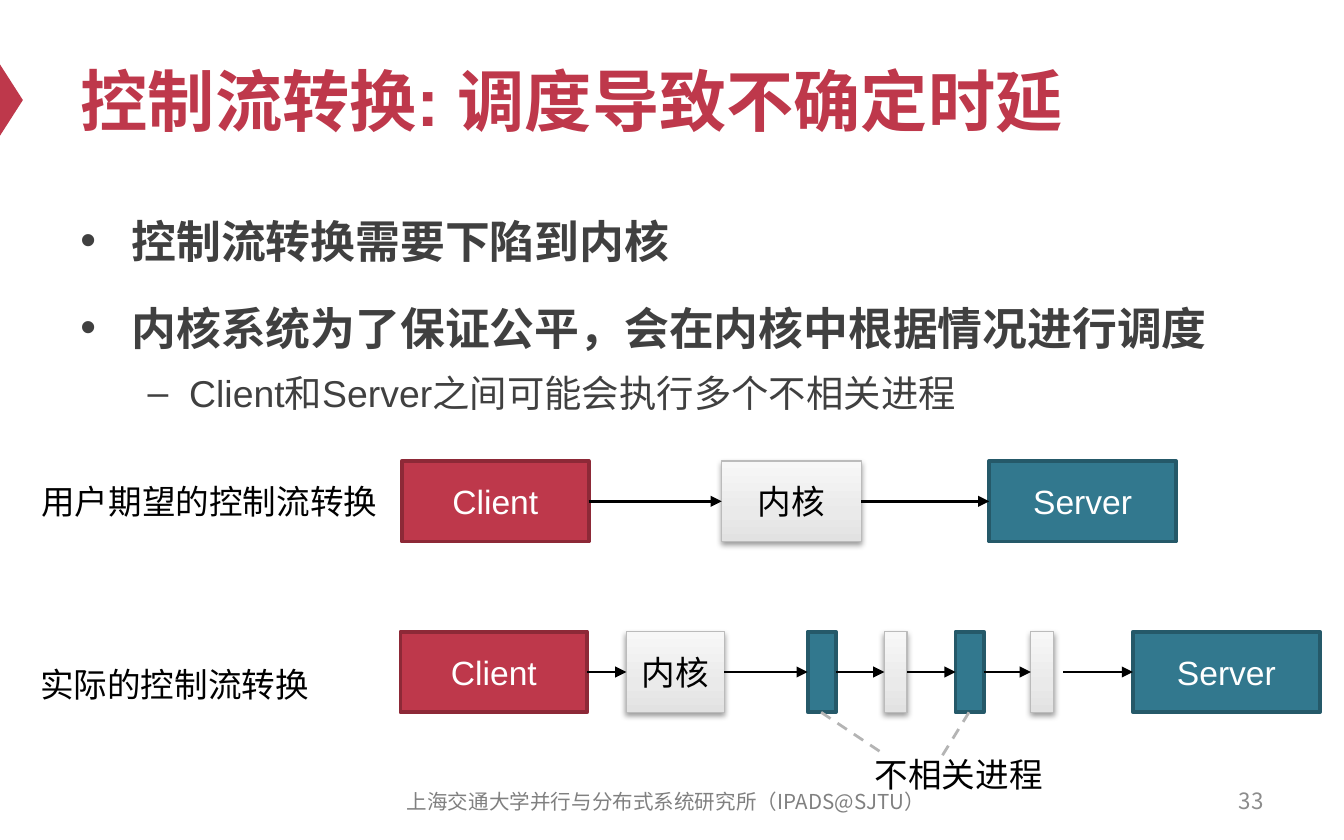
from dataclasses import dataclass
from itertools import pairwise

from lxml import etree
from pptx import Presentation
from pptx.dml.color import RGBColor
from pptx.enum.dml import MSO_LINE
from pptx.enum.shapes import MSO_CONNECTOR, MSO_SHAPE
from pptx.enum.text import MSO_ANCHOR, PP_ALIGN
from pptx.oxml import parse_xml
from pptx.oxml.ns import nsdecls, qn
from pptx.util import Pt

PX = 9144  # 100 px to the inch
LEFT, CENTER, RIGHT = PP_ALIGN.LEFT, PP_ALIGN.CENTER, PP_ALIGN.RIGHT
MIDDLE, TOP = MSO_ANCHOR.MIDDLE, MSO_ANCHOR.TOP
RECTANGLE, TRIANGLE = MSO_SHAPE.RECTANGLE, MSO_SHAPE.ISOSCELES_TRIANGLE
STRAIGHT, DASH = MSO_CONNECTOR.STRAIGHT, MSO_LINE.DASH

LATIN, CJK = "Arial", "Noto Sans CJK SC"
COLORS = {
    "red": "BE384B", "red_edge": "8D2937",
    "teal": "32788E", "teal_edge": "255969",
    "kernel_edge": "BBBBBB", "body": "404040",
    "black": "000000", "white": "FFFFFF",
    "dash": "B4B4B4", "number": "8C8C8C", "footer": "808080",
}
KERNEL_STOPS = ((0, "E2E2E2"), (35, "EAEAEA"), (100, "F7F7F7"))
BOX_HEIGHT = 60


@dataclass
class Step:
    kind: str  # red, teal or kernel
    left: int
    width: int
    text: str = ""
    gap: int = 0  # space between the box and its outgoing arrow

    @property
    def right(self) -> int:
        return self.left + self.width


@dataclass
class Bullet:
    text: str
    mark: str
    margin: int
    hang: int
    size: int
    bold: bool
    before: int


@dataclass
class Label:
    text: str
    frame: tuple[int, int, int, int]
    size: int = 18
    font: str = LATIN
    color: str = "black"
    align: PP_ALIGN = LEFT
    anchor: MSO_ANCHOR = TOP
    wrap: bool = False


FLOWS = {
    343: [Step("red", 299, 139, "Client"), Step("kernel", 537, 104, "内核"),
          Step("teal", 736, 139, "Server")],
    470: [Step("red", 298, 139, "Client"), Step("kernel", 466, 73, "内核"),
          Step("teal", 601, 21), Step("kernel", 658, 17),
          Step("teal", 711, 21), Step("kernel", 767, 17, gap=7),
          Step("teal", 843, 139, "Server")],
}
BULLETS = [
    Bullet("控制流转换需要下陷到内核", "•", 38, 38, 24, True, 0),
    Bullet("内核系统为了保证公平，会在内核中根据情况进行调度", "•", 38, 38, 24, True, 12),
    Bullet("Client和Server之间可能会执行多个不相关进程", "–", 81, 31, 20, False, 4),
]
LABELS = [
    Label("用户期望的控制流转换", (21, 353, 273, 40)),
    Label("实际的控制流转换", (20, 489, 222, 40)),
    Label("不相关进程", (641, 556, 146, 40)),
    Label("33", (717, 579, 233, 33), 12, CJK, "number", RIGHT, MIDDLE, True),
    Label("上海交通大学并行与分布式系统研究所（IPADS@SJTU）", (279, 580, 433, 33),
          11, CJK, "footer", CENTER, MIDDLE, True),
]
DASHES = [((611, 530), (656, 560)), ((721, 530), (700, 564))]


def rgb(name: str) -> RGBColor:
    return RGBColor.from_string(COLORS[name])


def scaled(*lengths: int) -> list[int]:
    return [length * PX for length in lengths]


def style(para, size: int, color: str, name: str = LATIN, bold: bool = False) -> None:
    font = para.font
    font.size, font.name, font.bold = Pt(size), name, bold
    font.color.rgb = rgb(color)


def add_label(page, label: Label) -> None:
    frame = page.shapes.add_textbox(*scaled(*label.frame)).text_frame
    frame.word_wrap, frame.vertical_anchor = label.wrap, label.anchor
    para = frame.paragraphs[0]
    para.text, para.alignment = label.text, label.align
    style(para, label.size, label.color, label.font)


def add_bullets(page, bullets: list[Bullet]) -> None:
    frame = page.shapes.add_textbox(*scaled(50, 146, 900, 412)).text_frame
    frame.word_wrap = True
    for index, bullet in enumerate(bullets):
        para = frame.add_paragraph() if index else frame.paragraphs[0]
        para.text = bullet.text
        para.line_spacing, para.space_before = 1.2, Pt(bullet.before)
        props = para._p.get_or_add_pPr()
        props.set("marL", str(bullet.margin * PX))
        props.set("indent", str(-bullet.hang * PX))
        etree.SubElement(props, qn("a:buFont")).set("typeface", LATIN)
        etree.SubElement(props, qn("a:buChar")).set("char", bullet.mark)
        style(para, bullet.size, "body", bold=bullet.bold)


def format_kernel(box) -> None:
    """Give a box the grey gradient and a soft shadow below."""
    stops = "".join(
        f'<a:gs pos="{pos * 1000}"><a:srgbClr val="{color}"/></a:gs>'
        for pos, color in KERNEL_STOPS)
    gradient = parse_xml(
        f'<a:gradFill {nsdecls("a")} rotWithShape="1"><a:gsLst>{stops}</a:gsLst>'
        '<a:lin ang="16200000" scaled="0"/></a:gradFill>')
    props = box._element.spPr
    props.find(qn("a:prstGeom")).addnext(gradient)
    props.find(qn("a:effectLst")).append(parse_xml(
        f'<a:outerShdw {nsdecls("a")} blurRad="{Pt(3.1)}" dist="{Pt(1.6)}"'
        ' dir="5400000" rotWithShape="0"><a:srgbClr val="000000">'
        '<a:alpha val="38000"/></a:srgbClr></a:outerShdw>'))


def add_step(page, step: Step, top: int) -> None:
    box = page.shapes.add_shape(
        RECTANGLE, *scaled(step.left, top, step.width, BOX_HEIGHT))
    box.shadow.inherit = False
    box.line.color.rgb = rgb(f"{step.kind}_edge")
    is_kernel = step.kind == "kernel"
    box.line.width = Pt(0.75 if is_kernel else 2)
    if is_kernel:
        format_kernel(box)
    else:
        box.fill.solid()
        box.fill.fore_color.rgb = rgb(step.kind)
    if step.text:
        box.text_frame.vertical_anchor = MIDDLE
        para = box.text_frame.paragraphs[0]
        para.text, para.alignment = step.text, CENTER
        style(para, 18, "black" if is_kernel else "white")


def add_line(page, start: tuple[int, int], end: tuple[int, int],
             color: str, arrow: bool) -> None:
    connector = page.shapes.add_connector(STRAIGHT, *scaled(*start, *end))
    connector.line.color.rgb = rgb(color)
    connector.line.width = Pt(1.5)
    if arrow:
        etree.SubElement(connector.line._get_or_add_ln(),
                         qn("a:tailEnd")).set("type", "triangle")
    else:
        connector.line.dash_style = DASH
    etree.SubElement(connector._element.spPr, qn("a:effectLst"))


def main() -> None:
    deck = Presentation()
    deck.slide_width, deck.slide_height = scaled(1000, 625)
    page = deck.slides.add_slide(deck.slide_layouts[5])

    # Title and edge marker
    title = page.shapes.title
    title.left, title.top, title.width, title.height = scaled(50, 25, 900, 98)
    title.text_frame.vertical_anchor = MIDDLE
    heading = title.text_frame.paragraphs[0]
    heading.text, heading.alignment = "控制流转换: 调度导致不确定时延", LEFT
    style(heading, 36, "red", bold=True)
    marker = page.shapes.add_shape(TRIANGLE, *scaled(-18, 66, 53, 17))
    marker.rotation = 90
    marker.shadow.inherit = False
    marker.fill.solid()
    marker.fill.fore_color.rgb = rgb("red")
    marker.line.fill.background()

    # Bullets, row labels and footer
    add_bullets(page, BULLETS)
    for label in LABELS:
        add_label(page, label)

    # Expected and actual control flow
    for top, steps in FLOWS.items():
        for step in steps:
            add_step(page, step, top)
        middle = top + BOX_HEIGHT // 2
        for source, target in pairwise(steps):
            add_line(page, (source.right + source.gap, middle),
                     (target.left, middle), "black", arrow=True)

    # Pointers to the unrelated processes
    for start, end in DASHES:
        add_line(page, start, end, "dash", arrow=False)

    deck.save("out.pptx")


if __name__ == "__main__":
    main()
